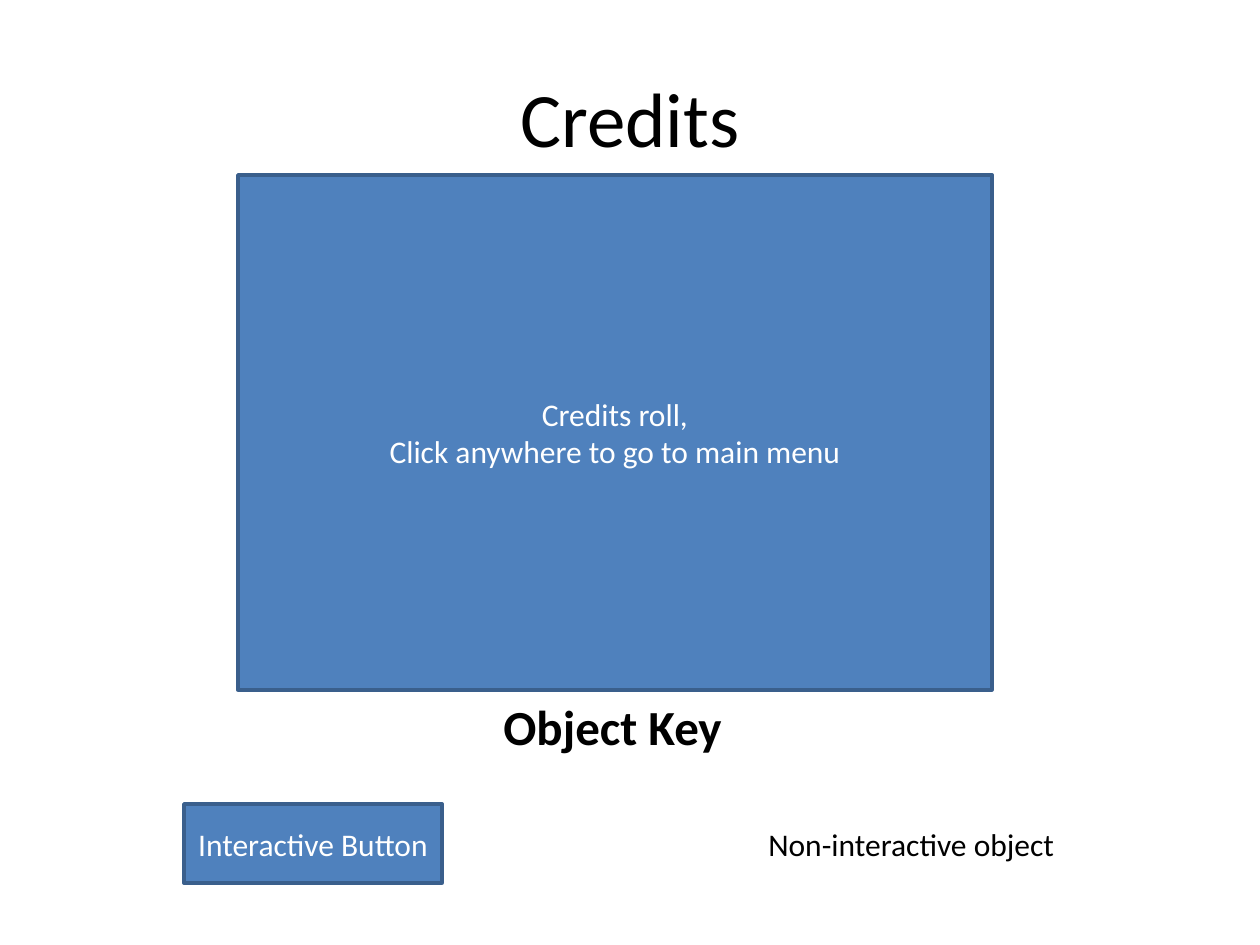
from pptx import Presentation
from pptx.dml.color import RGBColor
from pptx.enum.shapes import MSO_SHAPE
from pptx.enum.text import MSO_ANCHOR, PP_ALIGN
from pptx.util import Emu, Pt

SCALE = 914400 // 126
COLORS = {"fill": "4F81BD", "line": "3A5F8C", "light": "FFFFFF", "dark": "000000"}


def px(*vals):
    return [Emu(val * SCALE) for val in vals]


def color(name):
    return RGBColor.from_string(COLORS[name])


def write(shape, lines, size, tint, align, anchor, bold=False):
    frame = shape.text_frame
    frame.word_wrap = True
    frame.vertical_anchor = anchor
    frame.text = "\n".join(lines)
    for para in frame.paragraphs:
        para.alignment = align
        font = para.font
        font.name, font.size, font.bold = "Calibri", Pt(size), bold
        font.color.rgb = color(tint)


def label(slide, box, text, size, align=PP_ALIGN.LEFT, anchor=MSO_ANCHOR.TOP, bold=False):
    shape = slide.shapes.add_textbox(*px(*box))
    write(shape, [text], size, "dark", align, anchor, bold)


def button(slide, box, *lines):
    shape = slide.shapes.add_shape(MSO_SHAPE.RECTANGLE, *px(*box))
    shape.shadow.inherit = False
    shape.fill.solid()
    shape.fill.fore_color.rgb = color("fill")
    shape.line.color.rgb = color("line")
    shape.line.width = Pt(2)
    write(shape, lines, 18, "light", PP_ALIGN.CENTER, MSO_ANCHOR.MIDDLE)


def legend(slide, box):
    left, top, width, height = box
    label(slide, (left + 307, top, 307, 72), "Object Key", 28, bold=True)
    button(slide, (left, top + height - 79, 258, 79), "Interactive Button")
    label(slide, (left + width - 318, top + 129, 318, 50), "Non-interactive object", 18)


def build():
    deck = Presentation()
    deck.slide_width, deck.slide_height = px(1260, 945)
    slide = deck.slides.add_slide(deck.slide_layouts[6])
    # Heading
    label(slide, (63, 38, 1134, 158), "Credits", 44, PP_ALIGN.CENTER, MSO_ANCHOR.MIDDLE)
    # Credits screen
    button(slide, (238, 175, 754, 515), "Credits roll,", "Click anywhere to go to main menu")
    # Object key
    legend(slide, (184, 690, 890, 193))
    deck.save("out.pptx")


build()
